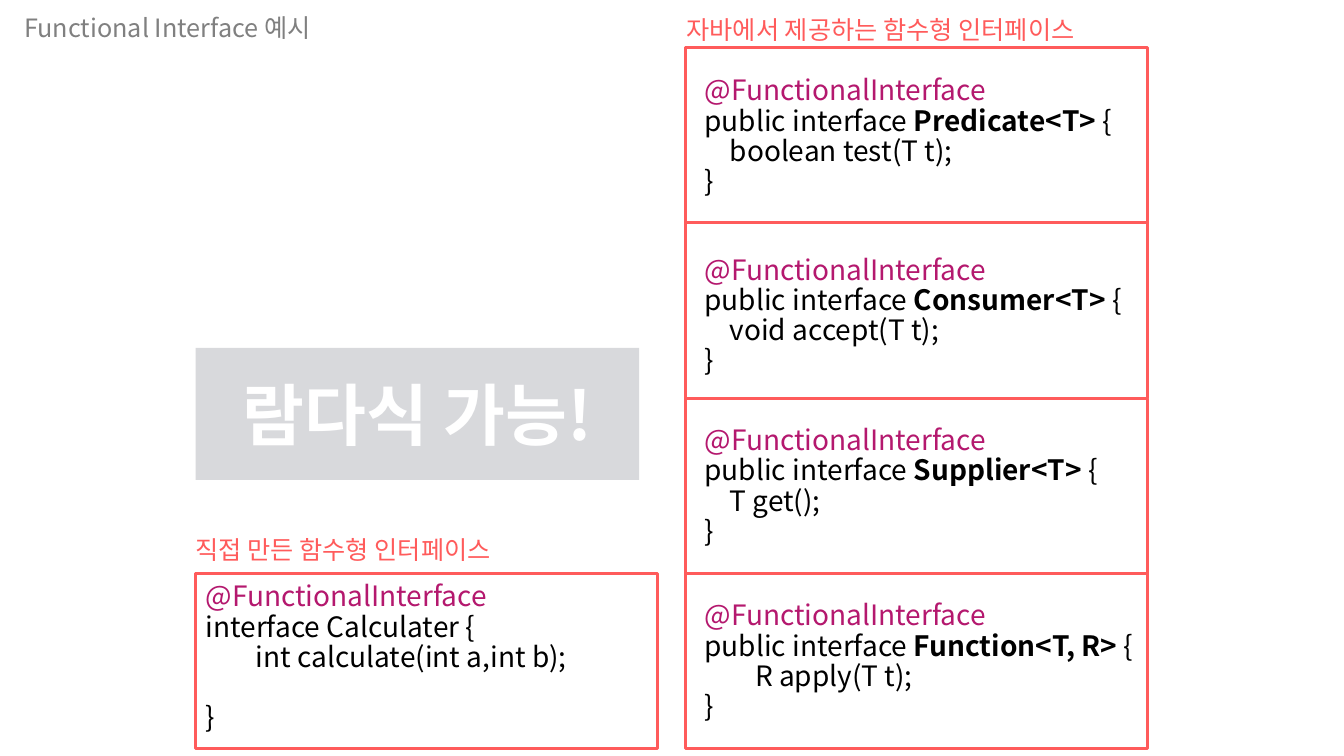
import pptx
import pptx.dml.color
import pptx.enum.shapes
import pptx.enum.text
import pptx.oxml.ns
import pptx.util
from lxml import etree

Inches = pptx.util.Inches
Pt = pptx.util.Pt
ANCHOR = pptx.enum.text.MSO_ANCHOR
ALIGN = pptx.enum.text.PP_ALIGN
RECTANGLE = pptx.enum.shapes.MSO_SHAPE.RECTANGLE
FONT = "Noto Sans CJK KR"
COLOURS = {
    "heading": "808080",
    "accent": "FF5B5B",
    "annotation": "B4186E",
    "code": "000000",
    "banner": "D8D9DC",
    "white": "FFFFFF",
}

LEFT_COLUMN, RIGHT_COLUMN = 1.94, 6.8
FIRST_ROW, ROW_HEIGHT, FRAME_WIDTH = 0.47, 1.74, 4.58
CODE_HEIGHT = 1.94
BLANK_LINE = 21.5


def colour(name):
    return pptx.dml.color.RGBColor.from_string(COLOURS[name])


def add_span(para, text, size, colour_name, bold=False):
    """Add one run whose font also covers Korean letters."""
    span = para.add_run()
    span.text = text
    span.font.size = Pt(size)
    span.font.bold = bold
    span.font.color.rgb = colour(colour_name)
    span.font.name = FONT
    east_asian = etree.SubElement(span.font._element, pptx.oxml.ns.qn("a:ea"))
    east_asian.set("typeface", FONT)


deck = pptx.Presentation()
deck.slide_width, deck.slide_height = Inches(13.33), Inches(7.5)
page = deck.slides.add_slide(deck.slide_layouts[5])

# Heading and the labels above the two columns
title = page.shapes.title
labels = [
    (title, "Functional Interface 예시", "heading", 0.14, 0.07, 4.19),
    (None, "직접 만든 함수형 인터페이스", "accent", 1.84, 5.25, 4.19),
    (None, "자바에서 제공하는 함수형 인터페이스", "accent", 6.71, 0.09, 4.68),
]
for box, text, colour_name, left, top, width in labels:
    if box is None:
        box = page.shapes.add_textbox(0, 0, 0, 0)
    box.left, box.top = Inches(left), Inches(top)
    box.width, box.height = Inches(width), Inches(0.4)
    frame = box.text_frame
    frame.word_wrap = True
    frame.auto_size = pptx.enum.text.MSO_AUTO_SIZE.SHAPE_TO_FIT_TEXT
    frame.vertical_anchor = ANCHOR.TOP
    frame.paragraphs[0].alignment = ALIGN.LEFT
    add_span(frame.paragraphs[0], text, 18, colour_name)

# Framed code: column, row, text left, text width, lift above the frame,
# declaration (plain, bold, plain), method, space before the closing brace
interfaces = [
    (LEFT_COLUMN, 3, 1.94, 4.4, 0.13,
     ("interface Calculater {", "", ""), "\tint calculate(int a,int b);", BLANK_LINE),
    (RIGHT_COLUMN, 0, 6.89, 4.4, 0.08,
     ("public interface ", "Predicate<T>", " {"), "    boolean test(T t);", 0),
    (RIGHT_COLUMN, 1, 6.89, 4.4, 0.04,
     ("public interface ", "Consumer<T>", " {"), "    void accept(T t);", 0),
    (RIGHT_COLUMN, 2, 6.89, 4.4, 0.09,
     ("public interface ", "Supplier<T>", " {"), "    T get();", 0),
    (RIGHT_COLUMN, 3, 6.89, 4.6, 0.09,
     ("public interface ", "Function<T, R> ", "{"), "\tR apply(T t);", 0),
]
for column, row, left, width, lift, declaration, method, gap in interfaces:
    top = FIRST_ROW + row * ROW_HEIGHT
    border = page.shapes.add_shape(
        RECTANGLE, Inches(column), Inches(top), Inches(FRAME_WIDTH), Inches(ROW_HEIGHT))
    border.shadow.inherit = False
    border.fill.background()
    border.line.color.rgb = colour("accent")
    border.line.width = Pt(2)

    box = page.shapes.add_textbox(
        Inches(left), Inches(top - lift), Inches(width), Inches(CODE_HEIGHT))
    frame = box.text_frame
    frame.word_wrap = True
    frame.vertical_anchor = ANCHOR.MIDDLE
    lines = [("@FunctionalInterface",), declaration, (method,), ("}",)]
    for number, line in enumerate(lines):
        para = frame.add_paragraph() if number else frame.paragraphs[0]
        para.line_spacing = 0.9
        for position, text in enumerate(line):
            if text:
                add_span(para, text, 20, "code" if number else "annotation",
                         bold=position == 1)
    if gap:
        para.space_before = Pt(gap)

# Banner
banner = page.shapes.add_shape(
    RECTANGLE, Inches(LEFT_COLUMN), Inches(3.45), Inches(4.4), Inches(1.31))
banner.shadow.inherit = False
banner.fill.solid()
banner.fill.fore_color.rgb = colour("banner")
banner.line.fill.background()
banner.text_frame.word_wrap = True
banner.text_frame.vertical_anchor = ANCHOR.MIDDLE
para = banner.text_frame.paragraphs[0]
para.alignment = ALIGN.CENTER
add_span(para, "람다식 가능!", 48, "white", bold=True)

deck.save("out.pptx")
